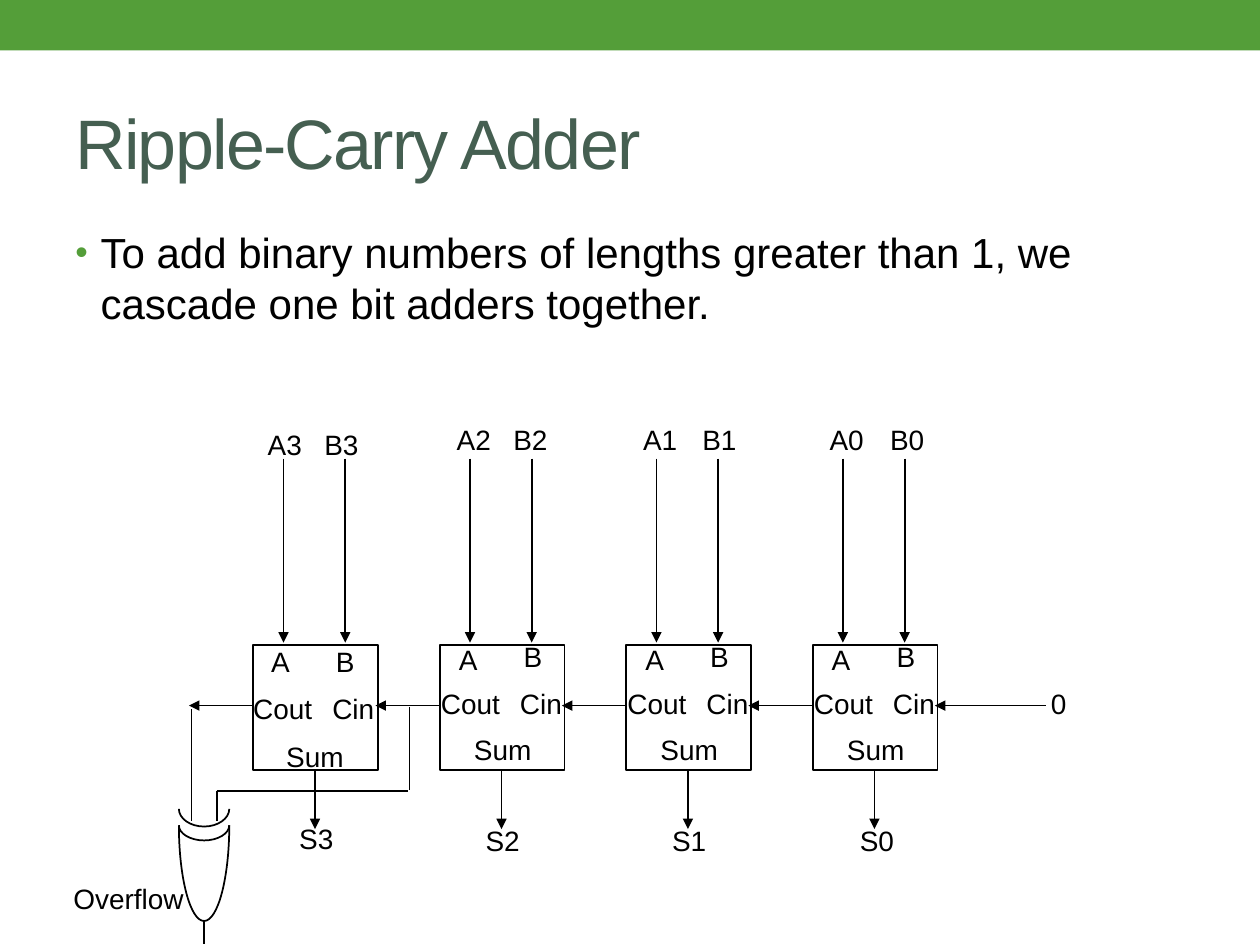
from lxml import etree
from pptx import Presentation
from pptx.dml.color import RGBColor
from pptx.enum.shapes import MSO_CONNECTOR, MSO_SHAPE
from pptx.enum.text import MSO_ANCHOR, PP_ALIGN
from pptx.oxml.ns import qn
from pptx.util import Inches, Pt

RECTANGLE = MSO_SHAPE.RECTANGLE
STRAIGHT = MSO_CONNECTOR.STRAIGHT
MIDDLE = MSO_ANCHOR.MIDDLE
LEFT, CENTER, RIGHT = PP_ALIGN.LEFT, PP_ALIGN.CENTER, PP_ALIGN.RIGHT

FONT = "Arial"
COLORS = {"green": "549E39", "title": "455F51", "black": "000000"}

ADDER_LEFT, ADDER_TOP, ADDER_SIZE = 2.01, 5.12, 0.99
ADDER_STEP = 1.48
INPUT_TOP, CARRY_Y, SUM_END = 3.64, 5.6, 6.58
GATE_X, GATE_RADIUS = 1.62, 0.2
CURVE_HANDLE = 0.55  # handle length that turns a Bézier curve into a quarter ellipse
# bit, whether labels sit lower, offsets of the labels A, B and S
STAGES = [(3, True, 0.03, 0.49, 0.28), (2, False, 0.05, 0.51, 0.28),
          (1, False, 0.05, 0.53, 0.28), (0, False, 0.05, 0.54, 0.29)]
# text, offset from adder left, top, drop when lower, width, alignment
PORTS = [("A", 0.1, 5.1, 0.02, 0.25, CENTER), ("B", 0.61, 5.08, 0.04, 0.26, CENTER),
         ("Cout", -0.01, 5.45, 0.04, 0.63, LEFT), ("Sum", 0.17, 5.82, 0.05, 0.66, CENTER),
         ("Cin", 0.22, 5.45, 0.04, 0.77, RIGHT)]


def color(name):
    return RGBColor.from_string(COLORS[name])


def add_text(slide, text, left, top, width, height, size, color_name="black"):
    box = slide.shapes.add_textbox(Inches(left), Inches(top), Inches(width), Inches(height))
    box.text_frame.word_wrap = True
    paragraph = box.text_frame.paragraphs[0]
    paragraph.text = text
    font = paragraph.runs[0].font
    font.name, font.size = FONT, Pt(size)
    font.color.rgb = color(color_name)
    return box


def add_label(slide, text, left, top, width, alignment=CENTER):
    frame = add_text(slide, text, left, top, width, 0.64, 16).text_frame
    frame.word_wrap = False
    frame.margin_left = frame.margin_right = Inches(0.02)
    frame.margin_top = frame.margin_bottom = Inches(0.03)
    paragraph = frame.paragraphs[0]
    paragraph.alignment = alignment
    paragraph.line_spacing, paragraph.space_after = Pt(16.8), Pt(19.8)


def set_outline(shape):
    shape.line.color.rgb = color("black")
    shape.line.width = Pt(1)


def add_wire(slide, x1, y1, x2, y2, arrow=False):
    wire = slide.shapes.add_connector(STRAIGHT, Inches(x1), Inches(y1), Inches(x2), Inches(y2))
    set_outline(wire)
    if arrow:
        etree.SubElement(wire.line._get_or_add_ln(), qn("a:tailEnd"), type="triangle")
    etree.SubElement(wire._element.spPr, qn("a:effectLst"))


def add_quarter_curve(slide, top, depth, side):
    """Draw a quarter ellipse from the gate's side (-1 or 1) to its bottom centre."""
    start_x = Inches(GATE_X + side * GATE_RADIUS)
    end_x, start_y = Inches(GATE_X), Inches(top)
    builder = slide.shapes.build_freeform(start_x, start_y)
    builder.add_line_segments([(end_x, start_y + Inches(depth))], close=False)
    curve = builder.convert_to_shape()
    curve.shadow.inherit = False
    curve.fill.background()
    set_outline(curve)

    width, height = curve.width, curve.height
    start, end = (width, 0) if side > 0 else (0, width)
    handles = [(start, CURVE_HANDLE * height),
               (end + CURVE_HANDLE * (start - end), height), (end, height)]
    segment = next(curve._element.iter(qn("a:lnTo")))
    bezier = etree.Element(qn("a:cubicBezTo"))
    for x, y in handles:
        etree.SubElement(bezier, qn("a:pt"), x=str(round(x)), y=str(round(y)))
    segment.getparent().replace(segment, bezier)


def add_header(slide):
    band = slide.shapes.add_shape(RECTANGLE, 0, 0, Inches(10), Inches(0.4))
    band.shadow.inherit = False
    band.fill.solid()
    band.fill.fore_color.rgb = color("green")
    band.line.fill.background()
    title = add_text(slide, "Ripple-Carry Adder", 0.5, 0.58, 9, 1.08, 40, "title")
    title.text_frame.vertical_anchor = MIDDLE
    title.text_frame.paragraphs[0].runs[0].font._element.set("spc", "-100")


def add_body(slide):
    body = add_text(slide, "To add binary numbers of lengths greater than 1, "
                    "we cascade one bit adders together.", 0.5, 1.75, 9, 5.33, 24)
    paragraph = body.text_frame.paragraphs[0]
    paragraph.space_before = Pt(4.8)
    properties = paragraph._p.get_or_add_pPr()
    properties.set("marL", str(Inches(0.2)))
    properties.set("indent", str(Inches(-0.2)))
    bullet_color = etree.SubElement(properties, qn("a:buClr"))
    etree.SubElement(bullet_color, qn("a:srgbClr"), val=COLORS["green"])
    etree.SubElement(properties, qn("a:buSzPct"), val="85000")
    etree.SubElement(properties, qn("a:buFont"), typeface=FONT)
    etree.SubElement(properties, qn("a:buChar"), char="•")


def add_adder(slide, left, bit, lower, a_offset, b_offset, sum_offset):
    """Draw a one-bit adder with its ports, inputs, sum and carry out."""
    box = slide.shapes.add_shape(RECTANGLE, Inches(left), Inches(ADDER_TOP),
                                 Inches(ADDER_SIZE), Inches(ADDER_SIZE))
    box.shadow.inherit = False
    box.fill.background()
    set_outline(box)
    for text, offset, top, drop, width, alignment in PORTS:
        add_label(slide, text, left + offset - 0.01 * lower, top + drop * lower,
                  width, alignment)
    input_top = 3.36 + 0.04 * lower
    add_label(slide, f"A{bit}", left + a_offset, input_top, 0.44)
    add_label(slide, f"B{bit}", left + b_offset, input_top, 0.42)
    add_label(slide, f"S{bit}", left + sum_offset, 6.54 - 0.02 * lower, 0.44)
    for offset in (0.24, 0.73):
        add_wire(slide, left + offset, INPUT_TOP, left + offset, 5.1, arrow=True)
    add_wire(slide, left + 0.49, ADDER_TOP + ADDER_SIZE, left + 0.49, SUM_END, arrow=True)
    add_wire(slide, left, CARRY_Y, left - 0.51, CARRY_Y, arrow=True)


def add_overflow_gate(slide):
    for top, depth in ((6.42, 0.14), (6.55, 0.12), (6.55, 0.76)):
        for side in (1, -1):
            add_quarter_curve(slide, top, depth, side)
    for x in (1.52, 1.72):
        add_wire(slide, x, 6.28, x, 6.49)
        add_wire(slide, x, 6.46, x, 6.52)
    add_wire(slide, 1.52, 5.63, 1.52, 6.5)
    add_wire(slide, 1.72, 6.28, 3.24, 6.28)
    add_wire(slide, 3.25, 5.61, 3.25, 6.27)
    add_wire(slide, GATE_X, 7.31, GATE_X, 7.49)
    add_label(slide, "Overflow", 0.48, 7, 1.08)


def main():
    presentation = Presentation()
    presentation.slide_width, presentation.slide_height = Inches(10), Inches(7.5)
    slide = presentation.slides.add_slide(presentation.slide_layouts[6])
    add_header(slide)
    add_body(slide)
    for index, stage in enumerate(STAGES):
        add_adder(slide, ADDER_LEFT + index * ADDER_STEP, *stage)
    add_wire(slide, 8.3, CARRY_Y, 7.42, CARRY_Y, arrow=True)
    add_label(slide, "0", 8.32, 5.45, 1.32, LEFT)
    add_overflow_gate(slide)
    presentation.save("out.pptx")


if __name__ == "__main__":
    main()
